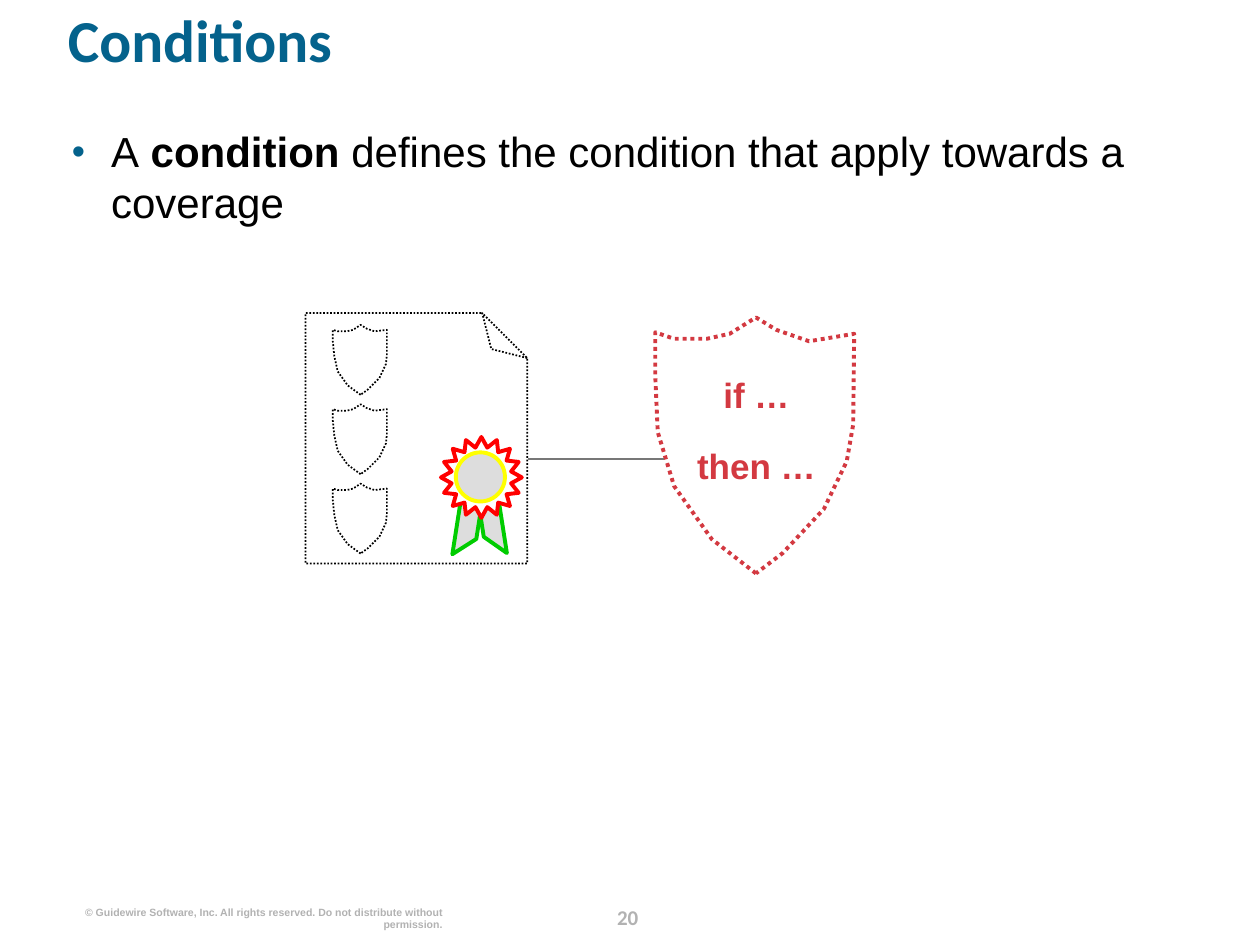
from lxml import etree
from pptx import Presentation
from pptx import util as u
from pptx.dml.color import RGBColor
from pptx.enum import dml, shapes, text
from pptx.oxml.ns import qn

BLUE, RED, GREY, SILVER = "04628C", "D33941", "B2B2B2", "DDDDDD"
BLACK, WHITE = "000000", "FFFFFF"
DOTTED = dml.MSO_LINE.ROUND_DOT

# Outlines in hundredths of a centimetre from the top left corner
LARGE_SHIELD = [
    (203, 516), (114, 447), (38, 340), (5, 231), (0, 117), (0, 30),
    (38, 43), (104, 43), (150, 33), (203, 0), (244, 25), (310, 48),
    (401, 33), (399, 216), (386, 290), (340, 386), (257, 475)]
SMALL_SHIELD = [
    (56, 141), (30, 122), (10, 94), (3, 63), (0, 33), (0, 10),
    (10, 13), (28, 13), (41, 10), (56, 0), (69, 8), (84, 13),
    (109, 10), (109, 61), (107, 79), (94, 107), (71, 130)]


def color(code):
    return RGBColor.from_string(code)


def apply(target, formats):
    """Set each named attribute of target."""
    for name, value in formats.items():
        setattr(target, name, value)


class Painter:
    """Holds the text style and the page being drawn."""

    def __init__(self, page, font="Arial"):
        self.page = page
        self.font = font

    def finish(self, shape, line, width, fill=None, dash=None):
        shape.shadow.inherit = False
        if fill:
            shape.fill.solid()
            shape.fill.fore_color.rgb = color(fill)
        else:
            shape.fill.background()
        shape.line.color.rgb = color(line)
        apply(shape.line, {"width": u.Pt(width), "dash_style": dash})

    def preset(self, kind, place, line, width=2.25, fill=None, dash=None,
               rotation=0, adjust=None, flip=False):
        shape = self.page.shapes.add_shape(kind, *map(u.Cm, place))
        self.finish(shape, line, width, fill, dash)
        shape.rotation = rotation
        props = shape._element.spPr
        if adjust is not None:
            # Folded corners offer no entry in shape.adjustments
            guides = props.find(qn("a:prstGeom")).find(qn("a:avLst"))
            for guide in list(guides):
                guides.remove(guide)
            guide = etree.SubElement(guides, qn("a:gd"))
            guide.set("name", "adj")
            guide.set("fmla", f"val {round(adjust * 100000)}")
        if flip:
            props.find(qn("a:xfrm")).set("flipH", "1")

    def outline(self, points, left, top, line, width, fill=None):
        builder = self.page.shapes.build_freeform(*points[0], scale=u.Cm(0.01))
        builder.add_line_segments(points[1:], close=True)
        shape = builder.convert_to_shape(u.Cm(left), u.Cm(top))
        self.finish(shape, line, width, fill, DOTTED)

    def connector(self, start, end, line, width):
        link = self.page.shapes.add_connector(
            shapes.MSO_CONNECTOR.STRAIGHT, *map(u.Cm, start + end))
        link.line.color.rgb = color(line)
        link.line.width = u.Pt(width)
        etree.SubElement(link._element.spPr, qn("a:effectLst"))

    def textbox(self, place, paragraphs, size, ink, font=None, bullet=None,
                **formats):
        """Each paragraph is a list of (text, bold) spans."""
        box = self.page.shapes.add_textbox(*map(u.Cm, place))
        frame = box.text_frame
        apply(frame, {"word_wrap": True, "margin_left": 0, "margin_right": 0,
                      "margin_top": 0, "margin_bottom": 0})
        for index, spans in enumerate(paragraphs):
            para = frame.add_paragraph() if index else frame.paragraphs[0]
            apply(para, formats)
            if index == 0:
                para.space_before = u.Pt(0)
            if bullet:
                self.bullet(para, bullet)
            for words, bold in spans:
                span = para.add_run()
                span.text = words
                apply(span.font, {"name": font or self.font,
                                  "size": u.Pt(size), "bold": bold})
                span.font.color.rgb = color(ink)

    def bullet(self, para, ink, indent=0.79):
        props = para._p.get_or_add_pPr()
        props.set("marL", str(u.Cm(indent)))
        props.set("indent", str(-u.Cm(indent)))
        tint = etree.SubElement(props, qn("a:buClr"))
        etree.SubElement(tint, qn("a:srgbClr")).set("val", ink)
        etree.SubElement(props, qn("a:buSzPct")).set("val", "90000")
        etree.SubElement(props, qn("a:buFont")).set("typeface", self.font)
        etree.SubElement(props, qn("a:buChar")).set("char", "•")


def draw_footer(painter):
    painter.textbox((11.93, 18.11, 1.45, 0.64), [[("20", True)]], 12, GREY,
                    "Calibri", alignment=text.PP_ALIGN.CENTER,
                    line_spacing=u.Pt(18))
    notice = ("© Guidewire Software, Inc. All rights reserved. "
              "Do not distribute without permission.")
    painter.textbox((1.55, 18.26, 7.37, 0.25), [[(notice, True)]], 6, GREY,
                    alignment=text.PP_ALIGN.RIGHT)


def draw_policy(painter):
    """Page with three shields and a rosette."""
    kind = shapes.MSO_SHAPE
    ribbon = {"line": "00CC00", "fill": SILVER}
    painter.preset(kind.PARALLELOGRAM, (8.69, 10.24, 1.52, 0.43),
                   rotation=278.9, adjust=0.877, flip=True, **ribbon)
    painter.preset(kind.PARALLELOGRAM, (9.12, 10.21, 1.55, 0.41),
                   rotation=81.1, adjust=0.962, **ribbon)
    painter.preset(kind.STAR_16_POINT, (8.89, 8.81, 1.63, 1.63), "FF0000",
                   fill=WHITE, adjust=0.375)
    painter.preset(kind.OVAL, (9.19, 9.12, 0.99, 0.99), "FFFF00", fill=SILVER)
    painter.preset(kind.FOLDED_CORNER, (5.87, 6.6, 5.05, 4.47), BLACK, 1,
                   dash=DOTTED, rotation=270, adjust=0.203)
    for row in range(3):
        painter.outline(SMALL_SHIELD, 6.71, 6.55 + 1.6 * row, BLACK, 1)


def main():
    deck = Presentation()
    apply(deck, {"slide_width": u.Cm(25.4), "slide_height": u.Cm(19.05)})
    painter = Painter(deck.slides.add_slide(deck.slide_layouts[6]))

    draw_footer(painter)
    painter.textbox((1.37, 0.33, 23.11, 2.06), [[("Conditions", True)]], 34,
                    BLUE, "Calibri", line_spacing=0.8)
    sentence = [("A", False), (" condition", True),
                (" defines the condition that apply towards a coverage", False)]
    painter.textbox((1.45, 2.54, 23.11, 15.24), [sentence], 24, BLACK,
                    bullet=BLUE)

    painter.outline(LARGE_SHIELD, 13.21, 6.4, RED, 2.25, WHITE)
    draw_policy(painter)
    painter.connector((13.39, 9.25), (10.64, 9.25), "777777", 1)
    painter.textbox((13.36, 7.52, 3.78, 2.36),
                    [[("if …", True)], [("then …", True)]], 20, RED,
                    alignment=text.PP_ALIGN.CENTER,
                    space_before=u.Pt(11), space_after=u.Pt(6))
    deck.save("out.pptx")


if __name__ == "__main__":
    main()
